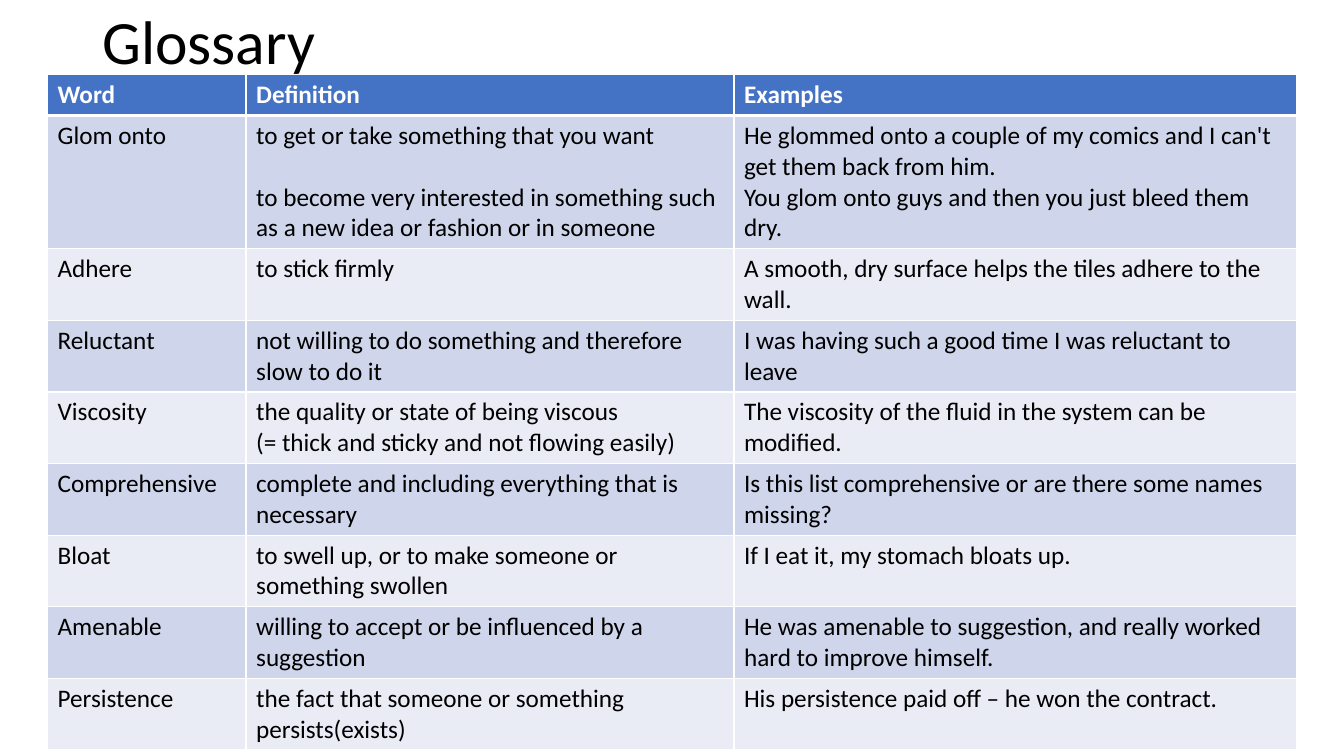
from lxml.etree import SubElement
from pptx import Presentation
from pptx.dml.color import RGBColor
from pptx.enum.text import MSO_ANCHOR
from pptx.oxml.ns import qn
from pptx.util import Pt

FONT = "Calibri"
COLOURS = {
    "header": "4472C4",
    "odd": "CFD5EA",
    "even": "E9EBF5",
    "border": "FFFFFF",
    "header_text": "FFFFFF",
    "text": "000000",
}
COLUMN_WIDTHS = [141.8, 348.5, 401.8]
ROW_HEIGHT = 29.2
PARAGRAPH_GAP = 22

HEADINGS = ("Word", "Definition", "Examples")
# A line break inside an entry starts a new paragraph.
ENTRIES = [
    ("Glom onto",
     "to get or take something that you want\n"
     "to become very interested in something such as a new idea or fashion or in someone",
     "He glommed onto a couple of my comics and I can't get them back from him.\n"
     "You glom onto guys and then you just bleed them dry."),
    ("Adhere", "to stick firmly",
     "A smooth, dry surface helps the tiles adhere to the wall."),
    ("Reluctant", "not willing to do something and therefore slow to do it",
     "I was having such a good time I was reluctant to leave"),
    ("Viscosity",
     "the quality or state of being viscous\n(= thick and sticky and not flowing easily)",
     "The viscosity of the fluid in the system can be modified."),
    ("Comprehensive", "complete and including everything that is necessary",
     "Is this list comprehensive or are there some names missing?"),
    ("Bloat", "to swell up, or to make someone or something swollen",
     "If I eat it, my stomach bloats up."),
    ("Amenable", "willing to accept or be influenced by a suggestion",
     "He was amenable to suggestion, and really worked hard to improve himself."),
    ("Persistence", "the fact that someone or something persists(exists)",
     "His persistence paid off – he won the contract."),
]


def colour(name):
    return RGBColor.from_string(COLOURS[name])


def style_font(para, size, colour_name, bold=False):
    font = para.font
    font.name = FONT
    font.size = Pt(size)
    font.bold = bold
    font.color.rgb = colour(colour_name)


def add_title(page, text):
    box = page.shapes.add_textbox(Pt(66), Pt(0), Pt(828), Pt(64))
    frame = box.text_frame
    frame.word_wrap = True
    frame.vertical_anchor = MSO_ANCHOR.MIDDLE
    frame.text = text
    para = frame.paragraphs[0]
    para.line_spacing = 0.9
    style_font(para, 44, "text")


def set_borders(cell, top, bottom):
    """Draw the cell's four edges; top and bottom are widths in points."""
    properties = cell._tc.get_or_add_tcPr()
    for side, width in (("L", 1), ("R", 1), ("T", top), ("B", bottom)):
        line = SubElement(properties, qn(f"a:ln{side}"), w=str(Pt(width)))
        fill = SubElement(line, qn("a:solidFill"))
        SubElement(fill, qn("a:srgbClr"), val=COLOURS["border"])


def fill_cell(cell, text, row):
    is_header = row == 0
    set_borders(cell, top=3 if row == 1 else 1, bottom=3 if is_header else 1)
    cell.fill.solid()
    cell.fill.fore_color.rgb = colour("header" if is_header else "odd" if row % 2 else "even")
    cell.text = text
    for para in cell.text_frame.paragraphs:
        style_font(para, 18, "header_text" if is_header else "text", bold=is_header)


def add_glossary(page):
    rows = [HEADINGS, *ENTRIES]
    frame = page.shapes.add_table(
        len(rows), len(HEADINGS), Pt(34), Pt(53.3),
        Pt(sum(COLUMN_WIDTHS)), Pt(ROW_HEIGHT * len(rows)))
    table = frame.table
    for column, width in zip(table.columns, COLUMN_WIDTHS):
        column.width = Pt(width)
    for row, texts in enumerate(rows):
        table.rows[row].height = Pt(ROW_HEIGHT)
        for column, text in enumerate(texts):
            fill_cell(table.cell(row, column), text, row)
    # The two senses of the first word stand one line apart.
    table.cell(1, 1).text_frame.paragraphs[1].space_before = Pt(PARAGRAPH_GAP)


def main():
    deck = Presentation()
    deck.slide_width, deck.slide_height = Pt(960), Pt(540)
    page = deck.slides.add_slide(deck.slide_layouts[6])
    add_glossary(page)
    add_title(page, "Glossary")
    deck.save("out.pptx")


if __name__ == "__main__":
    main()
